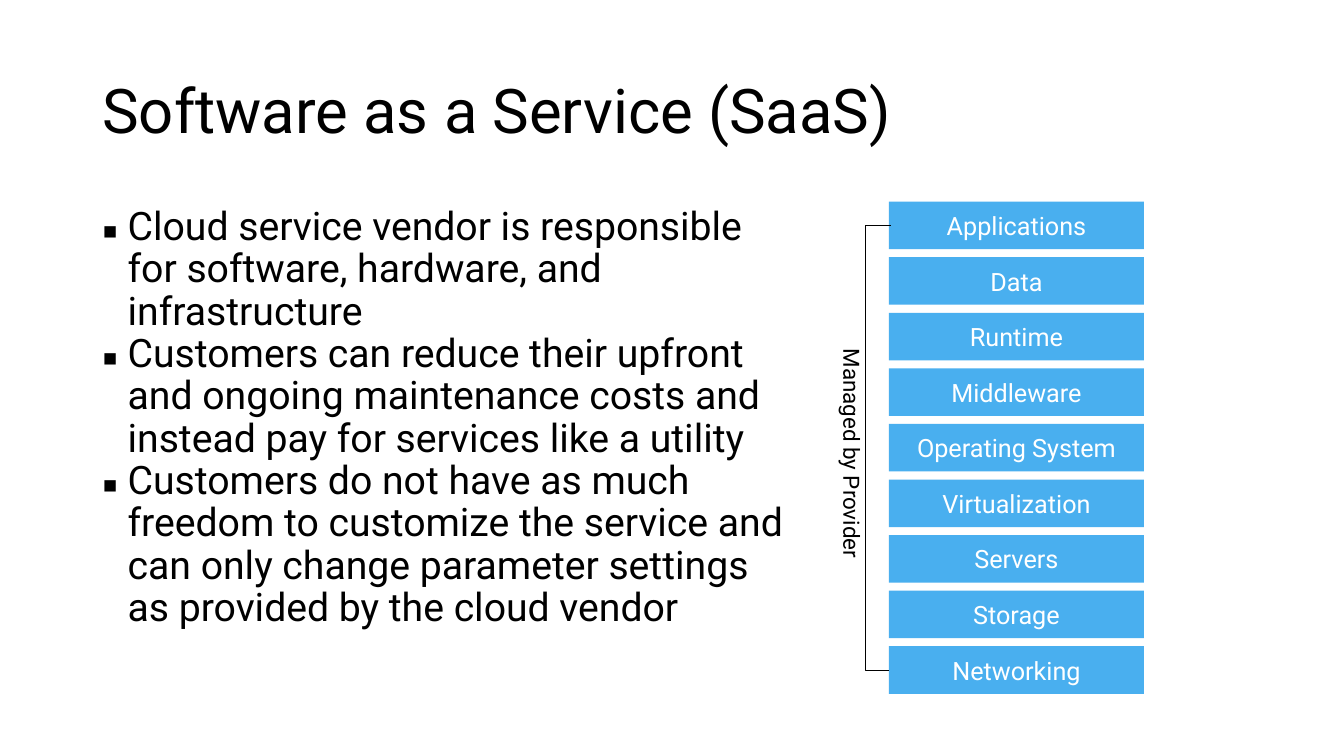
from lxml import etree
from pptx import Presentation
from pptx.dml.color import RGBColor
from pptx.enum.shapes import MSO_SHAPE
from pptx.enum.text import MSO_ANCHOR, MSO_AUTO_SIZE, PP_ALIGN
from pptx.oxml.ns import qn
from pptx.util import Pt

RECTANGLE = MSO_SHAPE.RECTANGLE
MIDDLE, TOP = MSO_ANCHOR.MIDDLE, MSO_ANCHOR.TOP
NO_AUTOFIT = MSO_AUTO_SIZE.NONE
LEFT, CENTER = PP_ALIGN.LEFT, PP_ALIGN.CENTER

BLACK, WHITE, SKY = "000000", "FFFFFF", "49AFEF"


def color(value):
    return RGBColor.from_string(value)


def write(paragraph, text, size, ink, align):
    paragraph.alignment = align
    run = paragraph.add_run()
    run.text = text
    run.font.name = "Roboto"
    run.font.size = Pt(size)
    run.font.color.rgb = color(ink)


prs = Presentation()
prs.slide_width, prs.slide_height = Pt(960), Pt(540)
slide = prs.slides.add_slide(prs.slide_layouts[1])

title = slide.shapes.title
title.left, title.top, title.width, title.height = Pt(66), Pt(28.8), Pt(828), Pt(104.4)
title.text_frame.auto_size = NO_AUTOFIT
title.text_frame.vertical_anchor = MIDDLE
heading = title.text_frame.paragraphs[0]
heading.line_spacing = 0.9
write(heading, "Software as a Service (SaaS)", 44, BLACK, LEFT)

points = [
    "Cloud service vendor is responsible for software, hardware, and infrastructure",
    "Customers can reduce their upfront and ongoing maintenance costs and instead pay "
    "for services like a utility",
    "Customers do not have as much freedom to customize the service and can only change "
    "parameter settings as provided by the cloud vendor",
]
body = slide.placeholders[1]
body.left, body.top, body.width, body.height = Pt(66), Pt(144), Pt(511.2), Pt(342.7)
body.text_frame.auto_size = NO_AUTOFIT
body.text_frame.vertical_anchor = TOP
for index, point in enumerate(points):
    paragraph = body.text_frame.add_paragraph() if index else body.text_frame.paragraphs[0]
    properties = paragraph._p.get_or_add_pPr()
    properties.set("marL", str(Pt(18)))
    properties.set("indent", str(-Pt(18)))
    etree.SubElement(properties, qn("a:buFont"), typeface="Noto Sans Symbols")
    etree.SubElement(properties, qn("a:buChar"), char="▪")
    paragraph.line_spacing = 0.9
    paragraph.space_before = Pt(0)
    write(paragraph, point, 28, BLACK, LEFT)

layers = ["Applications", "Data", "Runtime", "Middleware", "Operating System",
          "Virtualization", "Servers", "Storage", "Networking"]
stack_left, stack_top = 635, 144
layer_width, layer_height, layer_pitch = 182.2, 34, 39.7
for index, layer in enumerate(layers):
    block = slide.shapes.add_shape(
        RECTANGLE, Pt(stack_left), Pt(stack_top + index * layer_pitch),
        Pt(layer_width), Pt(layer_height))
    block.shadow.inherit = False
    block.fill.solid()
    block.fill.fore_color.rgb = color(SKY)
    block.line.fill.background()
    block.text_frame.vertical_anchor = MIDDLE
    write(block.text_frame.paragraphs[0], layer, 18, WHITE, CENTER)

provider = slide.shapes.add_textbox(Pt(598.3), Pt(249.1), Pt(18), Pt(153.4))
provider.fill.solid()
provider.fill.fore_color.rgb = color(WHITE)
frame = provider.text_frame
frame.word_wrap = False
frame.margin_left = frame.margin_right = frame.margin_top = frame.margin_bottom = 0
frame._txBody.bodyPr.set("vert", "eaVert")
frame.paragraphs[0].line_spacing = 0.9
write(frame.paragraphs[0], "Managed by Provider", 16, BLACK, LEFT)

bracket_left = 618.3
bracket_top = stack_top + layer_height / 2
bracket_bottom = bracket_top + (len(layers) - 1) * layer_pitch
outline = slide.shapes.build_freeform(Pt(stack_left + 1.4), Pt(bracket_top))
outline.add_line_segments(
    [(Pt(bracket_left), Pt(bracket_top)), (Pt(bracket_left), Pt(bracket_bottom)),
     (Pt(stack_left), Pt(bracket_bottom))], close=False)
bracket = outline.convert_to_shape()
bracket.shadow.inherit = False
bracket.fill.background()
bracket.line.color.rgb = color(BLACK)
bracket.line.width = Pt(0.5)

prs.save("out.pptx")
